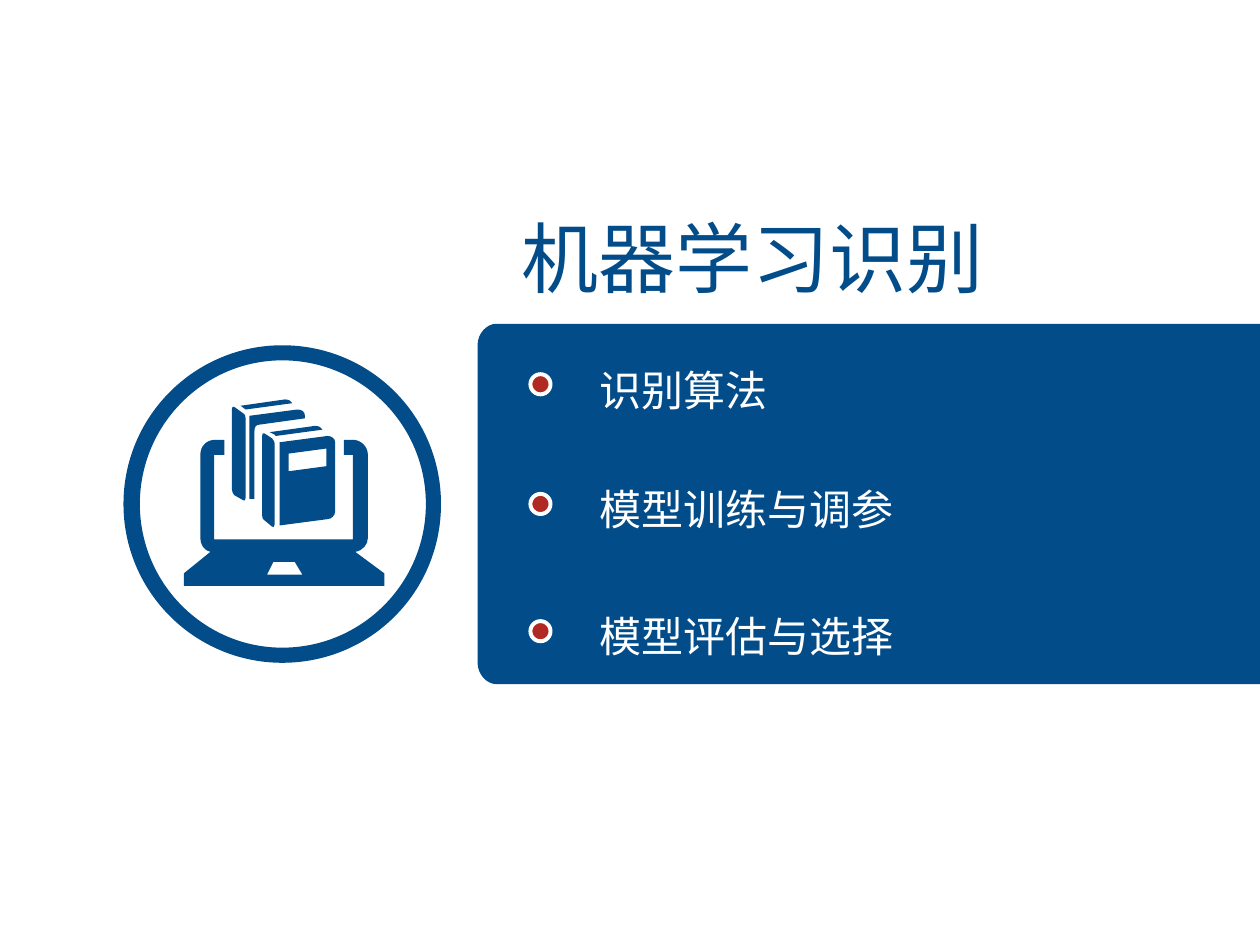
from dataclasses import dataclass
from typing import Any

from lxml.etree import SubElement
from pptx import Presentation
from pptx.dml.color import RGBColor
from pptx.enum.shapes import MSO_SHAPE
from pptx.enum.text import MSO_ANCHOR, MSO_AUTO_SIZE, PP_ALIGN
from pptx.oxml.ns import qn
from pptx.util import Emu, Pt

SCALE = 9144
FONT = "Noto Sans CJK SC"
BLUE, RED, WHITE = "024C89", "B12923", "FFFFFF"


@dataclass(frozen=True)
class Item:
    text: str
    top: int


ITEMS = [
    Item("识别算法", 264),
    Item("模型训练与调参", 359),
    Item("模型评估与选择", 460),
]

PANEL = ["394,257 1000,257 1000,543 394,543 C 386,543 379,535 379,526 "
         "379,274 C 379,265 386,257 394,257"]

RING = [
    "224,286 C 287,286 338,337 338,400 C 338,463 287,514 224,514 "
    "C 162,514 111,463 111,400 C 111,337 162,286 224,286",
    "224,274 C 294,274 350,330 350,400 C 350,470 294,526 224,526 "
    "C 155,526 98,470 98,400 C 98,330 155,274 224,274",
]

BOOKS = [
    "191,322 195,325 C 195,325 195,325 195,325 232,320 "
    "C 231,318 229,317 226,317",
    "186,323 193,328 C 194,328 195,330 195,332 195,395 "
    "C 195,397 194,398 193,397 186,393 C 185,392 184,390 184,388 "
    "184,325 C 184,323 185,322 186,323",
    "214,343 218,345 C 219,346 219,346 219,346 256,341 "
    "C 255,339 253,338 250,338",
    "210,344 216,348 C 217,349 218,351 218,352 218,416 "
    "C 218,418 217,419 216,418 210,413 C 209,413 208,411 208,409 "
    "208,346 C 208,344 209,343 210,344",
    "222,351 260,346 C 263,346 266,348 266,351 266,406 "
    "C 266,409 263,412 260,412 222,417",
    "229,360 259,356 259,370 229,374",
    "198,330 236,325 C 240,325 242,327 242,330 242,332 206,337 "
    "C 203,337 202,339 202,342 202,396 198,396",
]

LAPTOP = [
    "217,446 234,446 240,456 212,456",
    "170,361 178,361 178,349 171,349 C 164,349 159,354 159,361 "
    "159,427 C 159,432 162,437 167,438 146,455 146,465 305,465 "
    "305,455 282,438 C 288,437 292,432 292,427 292,361 "
    "C 292,354 286,349 280,349 273,349 273,361 280,361 280,428 170,428",
]


def px(size: int) -> Emu:
    """Turn px into EMU."""
    return Emu(size * SCALE)


def tint(code: str) -> RGBColor:
    """Turn a hex string into a colour."""
    return RGBColor.from_string(code)


def trace(path: str) -> list[tuple[int, ...]]:
    """Read the points of a path, leaving out curve marks."""
    return [tuple(map(int, word.split(",")))
            for word in path.split() if word != "C"]


def marks(path: str) -> list[bool]:
    """Tell for each point whether a curve starts with it."""
    words = path.split()
    return [last == "C" for last, word in zip([""] + words, words)
            if word != "C"]


def bend(shape: Any, paths: list[str]) -> None:
    """Join each marked run of three points into a curve."""
    track = next(shape._element.iter(qn("a:path")))
    nodes = [node for node in track if node.tag != qn("a:close")]
    flags = [flag for path in paths for flag in marks(path)]
    for spot, flag in enumerate(flags):
        if flag:
            curve = SubElement(track, qn("a:cubicBezTo"))
            nodes[spot].addprevious(curve)
            for node in nodes[spot:spot + 3]:
                curve.append(node[0])
                track.remove(node)


def draw(slide: Any, paths: list[str]) -> None:
    """Draw blue outlines as one shape, nested ones as holes."""
    first, *rest = [trace(path) for path in paths]
    pen = slide.shapes.build_freeform(*first[0], scale=SCALE)
    pen.add_line_segments(first[1:], close=True)
    for spots in rest:
        pen.move_to(*spots[0])
        pen.add_line_segments(spots[1:], close=True)
    shape = pen.convert_to_shape()
    bend(shape, paths)
    shape.shadow.inherit = False
    shape.fill.solid()
    shape.fill.fore_color.rgb = tint(BLUE)
    shape.line.fill.background()


def write(shape: Any, text: str, size: int, color: str, gap: float) -> None:
    """Put one line of text in a shape."""
    frame = shape.text_frame
    frame.word_wrap = True
    frame.auto_size = MSO_AUTO_SIZE.SHAPE_TO_FIT_TEXT
    frame.vertical_anchor = MSO_ANCHOR.TOP
    line = frame.paragraphs[0]
    line.text = text
    line.alignment = PP_ALIGN.LEFT
    line.line_spacing = gap
    font = line.font
    font.size = Pt(size)
    font.name = FONT
    font.color.rgb = tint(color)
    props = line._p.pPr.find(qn("a:defRPr"))
    SubElement(props, qn("a:ea")).set("typeface", FONT)


def head(slide: Any, text: str) -> None:
    """Place the title."""
    title = slide.shapes.title
    title.left, title.top = px(404), px(162)
    title.width, title.height = px(513), px(84)
    write(title, text, 44, BLUE, 1.0)


def entry(slide: Any, item: Item) -> None:
    """Draw a dot and its label."""
    dot = slide.shapes.add_shape(
        MSO_SHAPE.OVAL, px(421), px(item.top + 33), px(16), px(16))
    dot.shadow.inherit = False
    dot.fill.solid()
    dot.fill.fore_color.rgb = tint(RED)
    dot.line.color.rgb = tint(WHITE)
    dot.line.width = Pt(2.25)
    box = slide.shapes.add_textbox(px(466), px(item.top), px(421), px(64))
    write(box, item.text, 24, WHITE, 1.5)


def main() -> None:
    """Build and save the slide."""
    deck = Presentation()
    deck.slide_width, deck.slide_height = px(1000), px(750)
    slide = deck.slides.add_slide(deck.slide_layouts[5])
    head(slide, "机器学习识别")
    draw(slide, PANEL)
    draw(slide, RING + BOOKS + LAPTOP)
    for item in ITEMS:
        entry(slide, item)
    deck.save("out.pptx")


if __name__ == "__main__":
    main()
